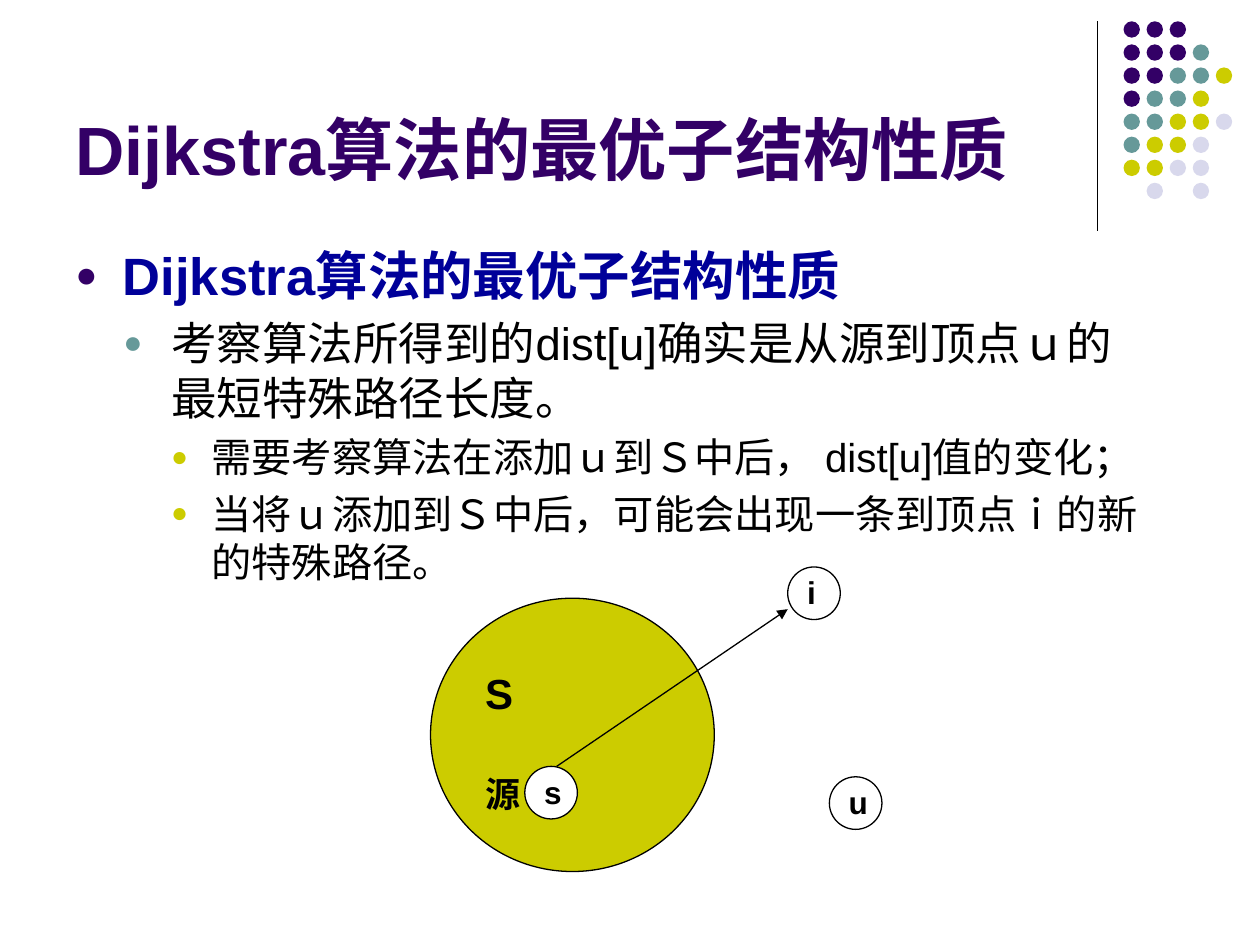
from dataclasses import dataclass

from lxml.etree import SubElement
from pptx import Presentation
from pptx.dml.color import RGBColor
from pptx.enum.shapes import MSO_CONNECTOR, MSO_SHAPE
from pptx.enum.text import MSO_ANCHOR
from pptx.oxml.ns import qn
from pptx.util import Cm, Pt


@dataclass(frozen=True)
class Theme:
    font: str = "Arial"
    purple: str = "330066"
    teal: str = "669999"
    olive: str = "CCCC00"
    lilac: str = "D8D8EC"
    blue: str = "000099"
    black: str = "000000"
    white: str = "FFFFFF"
    title_size: int = 39
    level_sizes: tuple = (30, 26, 23)
    set_size: int = 24
    source_size: int = 20
    node_size: int = 18
    line_width: float = 0.75


THEME = Theme()

# Content; lengths in centimetres
TITLE = ("Dijkstra", "算法的最优子结构性质")
BODY = [
    (0, ("Dijkstra", "算法的最优子结构性质")),
    (1, ("考察算法所得到的", "dist[u]", "确实是从源到顶点ｕ的最短特殊路径长度。")),
    (2, ("需要考察算法在添加ｕ到Ｓ中后， ", "dist[u]", "值的变化；")),
    (2, ("当将ｕ添加到Ｓ中后，可能会出现一条到顶点ｉ的新的特殊路径。",)),
]
# Per level: left margin, hanging indent, bullet colour, text colour
LEVELS = [
    (0.96, 0.96, THEME.purple, THEME.blue),
    (1.93, 0.96, THEME.teal, THEME.black),
    (2.74, 0.81, THEME.olive, THEME.black),
]
DOT_COLORS = {"P": THEME.purple, "T": THEME.teal, "O": THEME.olive, "L": THEME.lilac}
DOT_ROWS = ["PPP", "PPPT", "PPTTO", "PTTO", "TTOOL", "TOOL", "OOLL", ".L.L"]
DOT_LEFT, DOT_TOP, DOT_SIZE, DOT_PITCH = 22.65, 0.43, 0.33, 1.86 / 4
NODES = [("i", 15.88, 11.43), ("u", 16.72, 15.66), ("s", 10.58, 15.45)]
NODE_SIZE = 1.06
SET_LABELS = [("S", 13.34, THEME.set_size), ("源", 15.45, THEME.source_size)]


def add_circle(slide, left, top, width, height, fill, outlined=True):
    shape = slide.shapes.add_shape(
        MSO_SHAPE.OVAL, Cm(left), Cm(top), Cm(width), Cm(height))
    shape.shadow.inherit = False
    shape.fill.solid()
    shape.fill.fore_color.rgb = RGBColor.from_string(fill)
    if outlined:
        shape.line.color.rgb = RGBColor.from_string(THEME.black)
        shape.line.width = Pt(THEME.line_width)
    else:
        shape.line.fill.background()


def add_line(slide, start, end, arrow=False):
    connector = slide.shapes.add_connector(
        MSO_CONNECTOR.STRAIGHT, *(Cm(value) for value in start + end))
    connector.line.color.rgb = RGBColor.from_string(THEME.black)
    connector.line.width = Pt(THEME.line_width)
    if arrow:
        SubElement(connector.line._get_or_add_ln(), qn("a:tailEnd"), type="triangle")
    SubElement(connector._element.spPr, qn("a:effectLst"))


def add_frame(slide, left, top, width, height):
    frame = slide.shapes.add_textbox(
        Cm(left), Cm(top), Cm(width), Cm(height)).text_frame
    frame.word_wrap = True
    return frame


def add_runs(paragraph, texts, size, color, bold):
    for text in texts:
        run = paragraph.add_run()
        run.text = text
        run.font.name = THEME.font
        run.font.size = Pt(size)
        run.font.bold = bold
        run.font.color.rgb = RGBColor.from_string(color)


def set_bullet(paragraph, margin, hanging, color):
    properties = paragraph._p.get_or_add_pPr()
    properties.set("marL", str(Cm(margin)))
    properties.set("indent", str(-Cm(hanging)))
    bullet_color = SubElement(properties, qn("a:buClr"))
    SubElement(bullet_color, qn("a:srgbClr"), val=color)
    SubElement(properties, qn("a:buSzPct"), val="70000")
    SubElement(properties, qn("a:buFont"), typeface=THEME.font)
    SubElement(properties, qn("a:buChar"), char="●")


def add_decoration(slide):
    add_line(slide, (22.12, 0.43), (22.12, 4.65))
    for row, codes in enumerate(DOT_ROWS):
        for column, code in enumerate(codes):
            if code in DOT_COLORS:
                add_circle(slide, DOT_LEFT + column * DOT_PITCH,
                           DOT_TOP + row * DOT_PITCH, DOT_SIZE, DOT_SIZE,
                           DOT_COLORS[code], outlined=False)


def add_body(slide):
    frame = add_frame(slide, 1.27, 4.78, 22.02, 12.24)
    for index, (level, texts) in enumerate(BODY):
        paragraph = frame.add_paragraph() if index else frame.paragraphs[0]
        margin, hanging, bullet_color, color = LEVELS[level]
        size = THEME.level_sizes[level]
        paragraph.level = level
        set_bullet(paragraph, margin, hanging, bullet_color)
        if index:
            paragraph.space_before = Pt(round(size * 0.2, 1))
        add_runs(paragraph, texts, size, color, bold=level == 0)


def add_label(slide, text, left, top, width, size):
    frame = add_frame(slide, left, top, width, 1.02)
    add_runs(frame.paragraphs[0], [text], size, THEME.black, bold=True)


def add_diagram(slide):
    add_circle(slide, 8.68, 12.06, 5.72, 5.51, THEME.olive)
    for text, top, size in SET_LABELS:
        add_label(slide, text, 9.53, top, 1.27, size)
    for text, left, top in NODES:
        add_circle(slide, left, top, NODE_SIZE, NODE_SIZE, THEME.white)
        add_label(slide, text, left + 0.14, top, 0.85, THEME.node_size)
    # New special path from the source to vertex i
    add_line(slide, (11.22, 15.45), (15.88, 12.28), arrow=True)


def main():
    presentation = Presentation()
    presentation.slide_width, presentation.slide_height = Cm(25.4), Cm(19.05)
    slide = presentation.slides.add_slide(presentation.slide_layouts[6])

    add_decoration(slide)

    # Title
    frame = add_frame(slide, 1.27, 0.33, 20.96, 3.61)
    frame.vertical_anchor = MSO_ANCHOR.BOTTOM
    add_runs(frame.paragraphs[0], TITLE, THEME.title_size, THEME.purple, bold=True)

    add_body(slide)
    add_diagram(slide)
    presentation.save("out.pptx")


if __name__ == "__main__":
    main()
